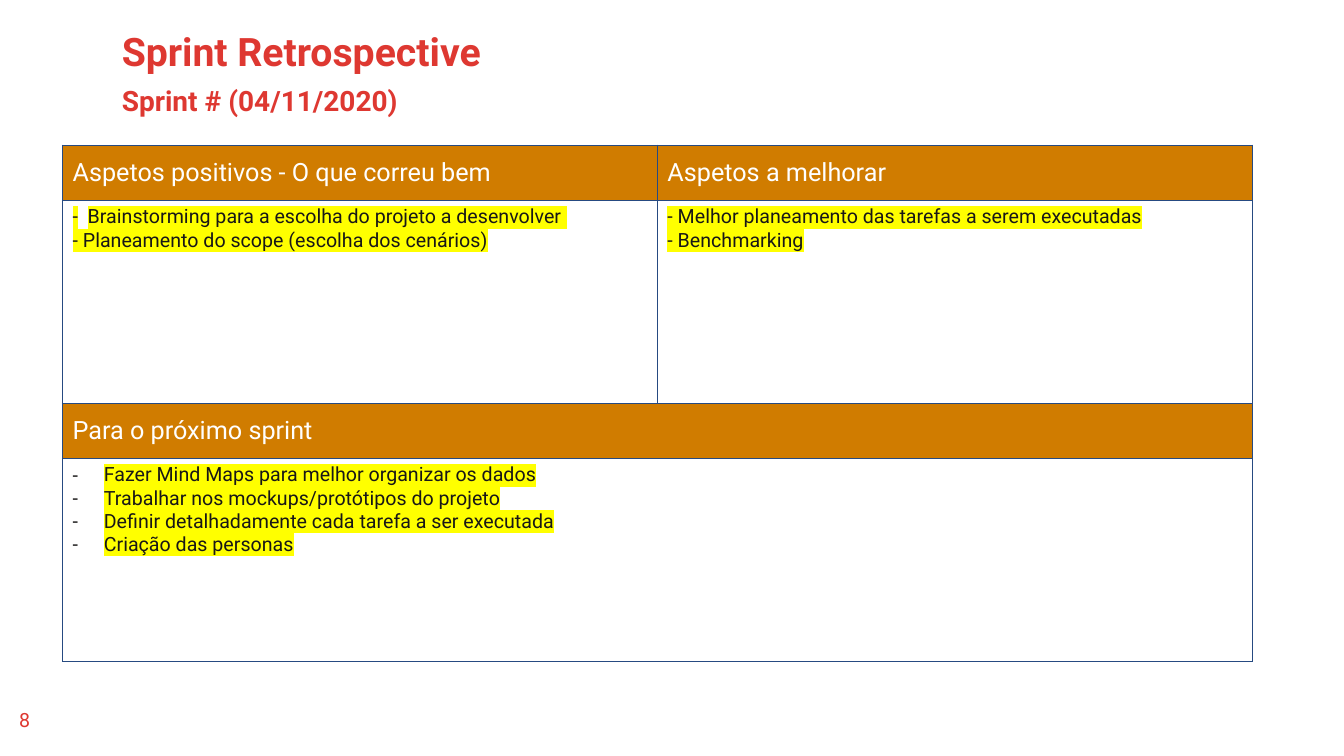
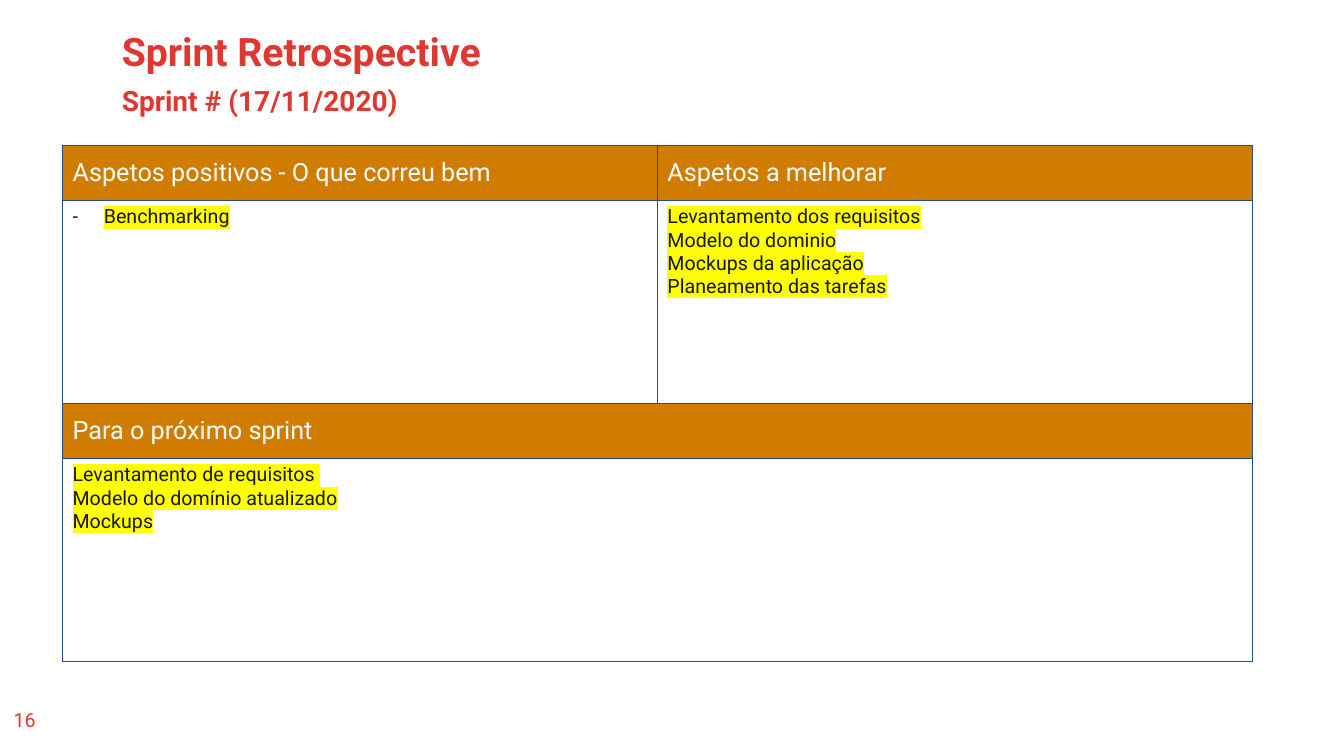
"""Build two sprint retrospective slides."""
from dataclasses import dataclass
from typing import Any

from lxml import etree
from pptx import Presentation
from pptx.dml.color import RGBColor
from pptx.enum.text import MSO_ANCHOR, PP_ALIGN
from pptx.oxml.ns import qn
from pptx.util import Pt

PX = 9144
RED = RGBColor(0xDE, 0x38, 0x31)
GOLD = RGBColor(0xD0, 0x7C, 0x00)
BLUE = RGBColor(0x26, 0x4A, 0x81)
INK = RGBColor(0x18, 0x17, 0x17)
WHITE = RGBColor(0xFF, 0xFF, 0xFF)
GLOW = RGBColor(0xFF, 0xFF, 0x00)
TOP, MIDDLE = MSO_ANCHOR.TOP, MSO_ANCHOR.MIDDLE
LEFT, CENTER = PP_ALIGN.LEFT, PP_ALIGN.CENTER

FONT = "Roboto"
TITLE = {"name": FONT, "size": Pt(28), "bold": True}
DATE = {"name": FONT, "size": Pt(20), "bold": True}
HEAD = {"name": FONT, "size": Pt(18), "bold": False}
BODY = {"name": FONT, "size": Pt(14), "bold": False}

COLUMN = 590
ROWS = (55, 201, 55, 201)
HANG = 31
STOP = 15


@dataclass(frozen=True)
class Box:
    """Place of an element in px."""
    left: int
    top: int
    width: int
    height: int


@dataclass(frozen=True)
class Notes:
    """Lines of one table area."""
    lines: tuple[str, ...]
    dashed: bool = False


@dataclass(frozen=True)
class Sprint:
    """Content of one slide."""
    page: int
    date: str
    good: Notes
    improve: Notes
    plan: Notes


TITLE_BOX = Box(111, 27, 1041, 45)
DATE_BOX = Box(111, 82, 1041, 42)
PAGE_BOX = Box(1, 697, 47, 40)
GRID_BOX = Box(62, 144, 2 * COLUMN, sum(ROWS))

SPRINTS = (
    Sprint(
        8, "04/11/2020",
        Notes(("-\tBrainstorming para a escolha do projeto a desenvolver ",
               "- Planeamento do scope (escolha dos cenários)")),
        Notes(("- Melhor planeamento das tarefas a serem executadas",
               "- Benchmarking")),
        Notes(("Fazer Mind Maps para melhor organizar os dados",
               "Trabalhar nos mockups/protótipos do projeto",
               "Definir detalhadamente cada tarefa a ser executada",
               "Criação das personas"), dashed=True),
    ),
    Sprint(
        16, "17/11/2020",
        Notes(("Benchmarking",), dashed=True),
        Notes(("Levantamento dos requisitos", "Modelo do dominio",
               "Mockups da aplicação", "Planeamento das tarefas")),
        Notes(("Levantamento de requisitos ", "Modelo do domínio atualizado",
               "Mockups")),
    ),
)


def scale(box: Box) -> tuple[int, int, int, int]:
    """Turn a box into EMU."""
    return box.left * PX, box.top * PX, box.width * PX, box.height * PX


def add_run(para: Any, text: str, style: dict[str, Any], color: RGBColor) -> Any:
    """Add one styled run to a paragraph."""
    run = para.add_run()
    run.text = text
    for key, value in style.items():
        setattr(run.font, key, value)
    run.font.color.rgb = color
    return run


def add_label(slide: Any, box: Box, text: str, style: dict[str, Any],
              align: Any = LEFT, spacing: float = 1.0) -> None:
    """Add a red line of text."""
    frame = slide.shapes.add_textbox(*scale(box)).text_frame
    frame.word_wrap = True
    frame.vertical_anchor = TOP
    para = frame.paragraphs[0]
    para.alignment = align
    para.line_spacing = spacing
    add_run(para, text, style, RED)


def mark(run: Any) -> None:
    """Put a yellow highlight behind a run."""
    glow = etree.Element(qn("a:highlight"))
    etree.SubElement(glow, qn("a:srgbClr"), val=str(GLOW))
    run.font.fill
    run._r.rPr.find(qn("a:solidFill")).addnext(glow)


def add_edges(cell: Any) -> None:
    """Draw the four borders of a cell."""
    props = cell._tc.get_or_add_tcPr()
    for index, side in enumerate(("lnL", "lnR", "lnT", "lnB")):
        line = etree.Element(qn(f"a:{side}"), w=str(Pt(1)))
        fill = etree.SubElement(line, qn("a:solidFill"))
        etree.SubElement(fill, qn("a:srgbClr"), val=str(BLUE))
        props.insert(index, line)


def fill_head(cell: Any, text: str) -> None:
    """Write a heading cell."""
    cell.vertical_anchor = MIDDLE
    add_run(cell.text_frame.paragraphs[0], text, HEAD, WHITE)


def fill_notes(cell: Any, notes: Notes) -> None:
    """Write the highlighted lines of a cell."""
    cell.vertical_anchor = TOP
    frame = cell.text_frame
    for index, text in enumerate(notes.lines):
        para = frame.add_paragraph() if index else frame.paragraphs[0]
        props = para._p.get_or_add_pPr()
        if notes.dashed:
            props.set("marL", str(HANG * PX))
            props.set("indent", str(-HANG * PX))
            etree.SubElement(props, qn("a:buFont"), typeface=FONT)
            etree.SubElement(props, qn("a:buChar"), char="-")
        elif "\t" in text:
            tabs = etree.SubElement(props, qn("a:tabLst"))
            etree.SubElement(tabs, qn("a:tab"), pos=str(STOP * PX), algn="l")
        mark(add_run(para, text, BODY, INK))


def add_grid(slide: Any, sprint: Sprint) -> None:
    """Add the retrospective table."""
    table = slide.shapes.add_table(len(ROWS), 2, *scale(GRID_BOX)).table
    table.first_row = table.horz_banding = False
    for column in table.columns:
        column.width = COLUMN * PX
    for index, height in enumerate(ROWS):
        table.rows[index].height = height * PX
        for cell in table.rows[index].cells:
            cell.fill.solid()
            cell.fill.fore_color.rgb = WHITE if index % 2 else GOLD
            add_edges(cell)
    for row in (2, 3):
        table.cell(row, 0).merge(table.cell(row, 1))
    areas = (
        (0, 0, "Aspetos positivos - O que correu bem", sprint.good),
        (0, 1, "Aspetos a melhorar", sprint.improve),
        (2, 0, "Para o próximo sprint", sprint.plan),
    )
    for row, column, head, notes in areas:
        fill_head(table.cell(row, column), head)
        fill_notes(table.cell(row + 1, column), notes)


def main() -> None:
    """Build and save the deck."""
    deck = Presentation()
    deck.slide_width, deck.slide_height = 1333 * PX, 750 * PX
    for sprint in SPRINTS:
        slide = deck.slides.add_slide(deck.slide_layouts[6])
        add_label(slide, TITLE_BOX, "Sprint Retrospective", TITLE, spacing=0.9)
        add_label(slide, DATE_BOX, f"Sprint # ({sprint.date})", DATE, spacing=0.9)
        add_label(slide, PAGE_BOX, str(sprint.page), BODY, CENTER)
        add_grid(slide, sprint)
    deck.save("out.pptx")


if __name__ == "__main__":
    main()
